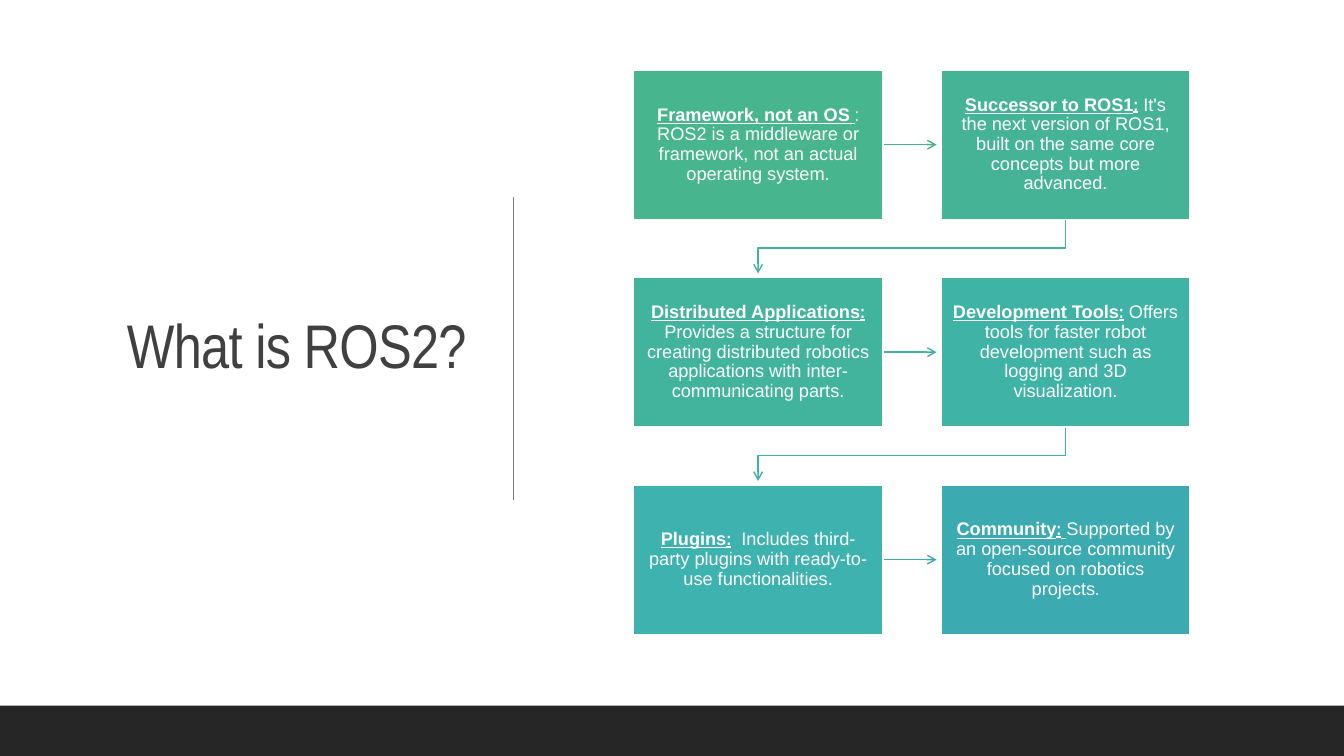
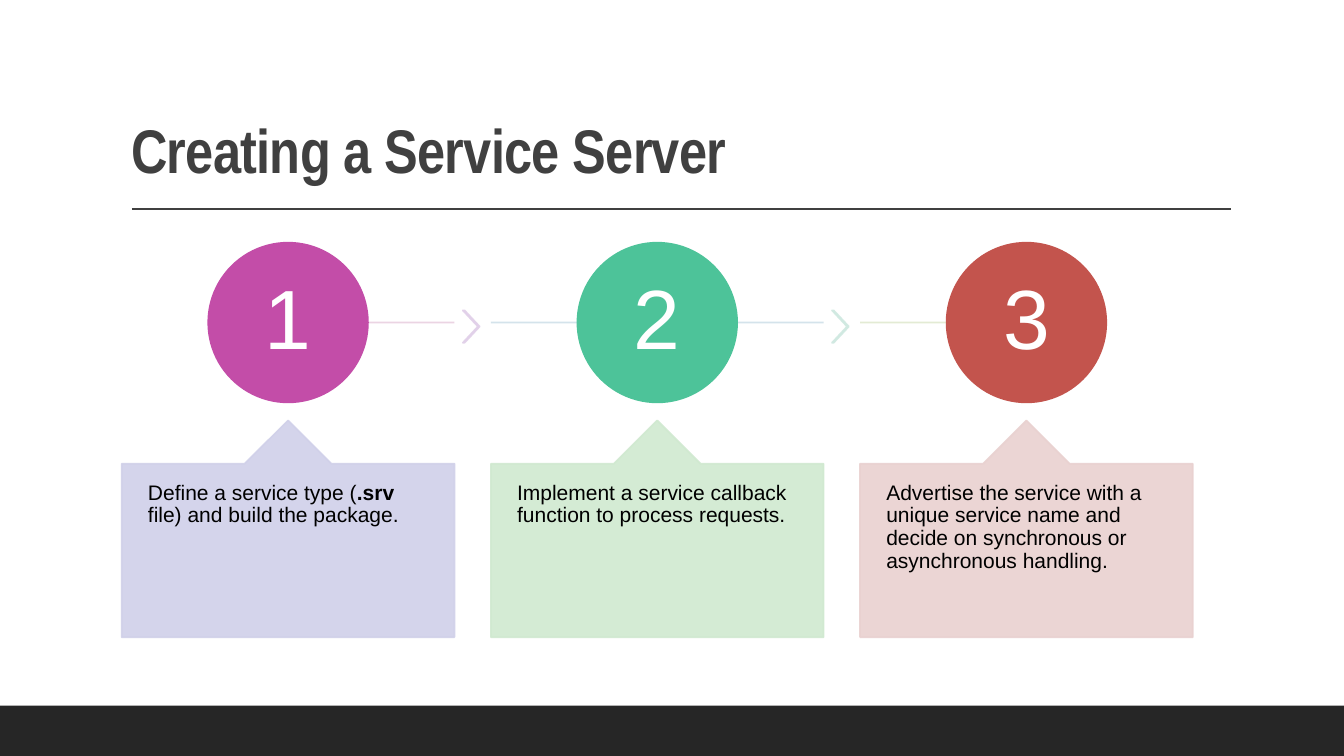
from lxml import etree
from pptx import Presentation
from pptx.dml.color import RGBColor
from pptx.enum.shapes import MSO_CONNECTOR, MSO_SHAPE
from pptx.enum.text import MSO_ANCHOR, MSO_AUTO_SIZE, PP_ALIGN
from pptx.oxml.ns import qn
from pptx.util import Emu, Inches, Pt

RECTANGLE = MSO_SHAPE.RECTANGLE
OVAL = MSO_SHAPE.OVAL
CHEVRON = MSO_SHAPE.CHEVRON
CALLOUT = MSO_SHAPE.UP_ARROW_CALLOUT
STRAIGHT = MSO_CONNECTOR.STRAIGHT
TOP, MIDDLE, BOTTOM = MSO_ANCHOR.TOP, MSO_ANCHOR.MIDDLE, MSO_ANCHOR.BOTTOM
LEFT, CENTER, RIGHT = PP_ALIGN.LEFT, PP_ALIGN.CENTER, PP_ALIGN.RIGHT
NO_AUTOFIT = MSO_AUTO_SIZE.NONE

GRID_COLUMNS, GRID_ROWS = 160, 90
TITLE_ONLY = 5
BODY_FONT, TITLE_FONT = "Arial", "Arial Narrow"
COLORS = {
    "white": "FFFFFF", "black": "000000", "title": "404040",
    "divider": "808080", "band": "262626",
}

HEADING = {"bold": True, "underline": True}
HEADING_COLON = {**HEADING, "font": TITLE_FONT}
COLON = {"font": TITLE_FONT}
BODY = {}

CARDS = [
    ("47B58E", [("Framework, not an OS ", HEADING), (":", COLON),
                (" ROS2 is a middleware or framework, not an actual operating system.", BODY)]),
    ("45B496", [("Successor to ROS1", HEADING), (":", HEADING_COLON),
                (" It's the next version of ROS1, built on the same core concepts "
                 "but more advanced.", BODY)]),
    ("42B49E", [("Distributed Applications", HEADING), (":", HEADING_COLON),
                (" Provides a structure for creating distributed robotics applications "
                 "with inter-communicating parts.", BODY)]),
    ("40B3A7", [("Development Tools", HEADING), (":", HEADING_COLON),
                (" Offers tools for faster robot development such as logging "
                 "and 3D visualization.", BODY)]),
    ("3DB2AF", [("Plugins", HEADING), (":", HEADING_COLON),
                ("  Includes third-party plugins with ready-to-use functionalities.", BODY)]),
    ("3BAAB1", [("Community", HEADING), (":", HEADING_COLON), (" ", HEADING),
                ("Supported by an open-source community focused on robotics projects", BODY),
                (".", COLON)]),
]
ARROW_COLORS = ["47B58E", "44B498", "41B3A2", "3EB2AD", "3BAAB1"]

STEPS = [
    {"circle": "C34DA8", "line": "E9D0E1", "chevron": "E1D0E9", "callout": "D0D0E9",
     "runs": [("Define a service type (", BODY), (".srv", {"bold": True}),
              (" file) and build the package.", BODY)]},
    {"circle": "4DC399", "line": "D0E1E9", "chevron": "D0E9E1", "callout": "D0E9D0",
     "runs": [("Implement a service callback function to process requests.", BODY)]},
    {"circle": "C3544D", "line": "E0E9D0", "callout": "E9D1D0",
     "runs": [("Advertise the service with a unique service name and decide on "
               "synchronous or asynchronous handling.", BODY)]},
]


def rgb(color):
    return RGBColor.from_string(COLORS.get(color, color))


def add_run(paragraph, text, size, color, font=BODY_FONT, bold=False, underline=False, spacing=0):
    run = paragraph.add_run()
    run.text = text
    run.font.name = font
    run.font.size = Pt(size)
    run.font.bold = bold
    run.font.underline = underline
    run.font.color.rgb = rgb(color)
    if spacing:
        run.font._element.set("spc", str(int(spacing * 100)))


def set_alpha(shape, percent):
    for color in shape.element.spPr.iter(qn("a:srgbClr")):
        etree.SubElement(color, qn("a:alpha"), val=str(percent * 1000))


class Deck:
    def __init__(self):
        self.presentation = Presentation()
        self.presentation.slide_width = Inches(13.333)
        self.presentation.slide_height = Inches(7.5)
        self.slide = None

    def column(self, count):
        return Emu(round(self.presentation.slide_width * count / GRID_COLUMNS))

    def row(self, count):
        return Emu(round(self.presentation.slide_height * count / GRID_ROWS))

    def box(self, left, top, width, height):
        return self.column(left), self.row(top), self.column(width), self.row(height)

    def new_slide(self, title, box, anchor, align, bold=False):
        layout = self.presentation.slide_layouts[TITLE_ONLY]
        self.slide = self.presentation.slides.add_slide(layout)
        shape = self.slide.shapes.title
        shape.left, shape.top, shape.width, shape.height = self.box(*box)
        self.text(shape, [(title, {"font": TITLE_FONT, "bold": bold, "spacing": -0.5})],
                  44, "title", anchor, align)
        self.shape(RECTANGLE, (0, 84, GRID_COLUMNS, 6), "band")

    def text(self, shape, runs, size, color, anchor, align, inset=(0.1, 0.05)):
        frame = shape.text_frame
        frame.word_wrap = True
        frame.auto_size = NO_AUTOFIT
        frame.vertical_anchor = anchor
        frame.margin_left = frame.margin_right = Inches(inset[0])
        frame.margin_top = frame.margin_bottom = Inches(inset[1])
        paragraph = frame.paragraphs[0]
        paragraph.alignment = align
        paragraph.line_spacing = 0.9
        for text, style in runs:
            add_run(paragraph, text, size, color, **style)

    def shape(self, kind, box, fill, line=None, adjustments=(), alpha=None):
        shape = self.slide.shapes.add_shape(kind, *self.box(*box))
        shape.shadow.inherit = False
        shape.fill.solid()
        shape.fill.fore_color.rgb = rgb(fill)
        if line:
            shape.line.color.rgb = rgb(line)
            shape.line.width = Pt(1.25)
        else:
            shape.line.fill.background()
        for index, value in enumerate(adjustments):
            shape.adjustments[index] = value
        if alpha:
            set_alpha(shape, alpha)
        return shape

    def outline(self, shape, color, width, arrow):
        shape.line.color.rgb = rgb(color)
        shape.line.width = Pt(width)
        if arrow:
            etree.SubElement(shape.element.spPr.find(qn("a:ln")), qn("a:tailEnd"), type="arrow")

    def line(self, start, end, color, width=1, arrow=False, alpha=None):
        connector = self.slide.shapes.add_connector(
            STRAIGHT, self.column(start[0]), self.row(start[1]),
            self.column(end[0]), self.row(end[1]))
        self.outline(connector, color, width, arrow)
        etree.SubElement(connector.element.spPr, qn("a:effectLst"))
        if alpha:
            set_alpha(connector, alpha)

    def elbow(self, points, color):
        start, *corners = [(self.column(x), self.row(y)) for x, y in points]
        builder = self.slide.shapes.build_freeform(*start)
        builder.add_line_segments(corners, close=False)
        shape = builder.convert_to_shape()
        shape.shadow.inherit = False
        shape.fill.background()
        self.outline(shape, color, 1, arrow=True)


def build_overview(deck):
    deck.new_slide("What is ROS2?", (8.4, 8.28, 48.36, 66.36), MIDDLE, RIGHT)
    deck.line((61.1, 23.5), (61.1, 59.5), "divider")
    width, height = 29.7, 17.85
    first_left, first_top, pitch_x, pitch_y = 75.4, 8.3, 36.6, 24.7
    arrow_length = 6.4
    for index, (fill, runs) in enumerate(CARDS):
        row, column = divmod(index, 2)
        left, top = first_left + column * pitch_x, first_top + row * pitch_y
        center, right, bottom = left + width / 2, left + width, top + height
        if index < len(ARROW_COLORS):
            color = ARROW_COLORS[index]
            if column == 0:
                middle = top + height / 2
                deck.line((right, middle), (right + arrow_length, middle), color, arrow=True)
            else:
                turn, target = bottom + 3.4, center - pitch_x
                deck.elbow([(center, bottom), (center, turn), (target, turn),
                            (target, bottom + arrow_length)], color)
        card = deck.shape(RECTANGLE, (left, top, width, height), fill, "white")
        deck.text(card, runs, 13, "white", MIDDLE, CENTER, (0.12, 0.13))


def build_steps(deck):
    deck.new_slide("Creating a Service Server", (14.4, 3.72, 132, 19.08), BOTTOM, LEFT, bold=True)
    deck.line((15.7, 24.9), (146.5, 24.9), "title")
    first_left, width, pitch = 14.5, 39.6, 43.95
    diameter, line_row = 19, 38.4
    for index, step in enumerate(STEPS):
        left = first_left + index * pitch
        center, right = left + width / 2, left + width
        line_start = center if index == 0 else left
        line_end = center if index == len(STEPS) - 1 else right
        deck.line((line_start, line_row), (line_end, line_row), step["line"], 1.25, alpha=90)
        if "chevron" in step:
            deck.shape(CHEVRON, (right + 1, 36.95, 2, 3.85), step["chevron"], step["chevron"],
                       [0.9], alpha=90)
        circle = deck.shape(OVAL, (center - diameter / 2, 28.9, diameter, diameter),
                            step["circle"], step["circle"])
        deck.text(circle, [(str(index + 1), BODY)], 60, "white", MIDDLE, CENTER, (0.06, 0.06))
        callout = deck.shape(CALLOUT, (left, 50.05, width, 25.8), step["callout"],
                             step["callout"], [0.5, 0.2, 0.2, 1], alpha=90)
        deck.text(callout, step["runs"], 15, "black", TOP, LEFT, (0.26, 0.18))


def main():
    deck = Deck()
    build_overview(deck)
    build_steps(deck)
    deck.presentation.save("out.pptx")


if __name__ == "__main__":
    main()
